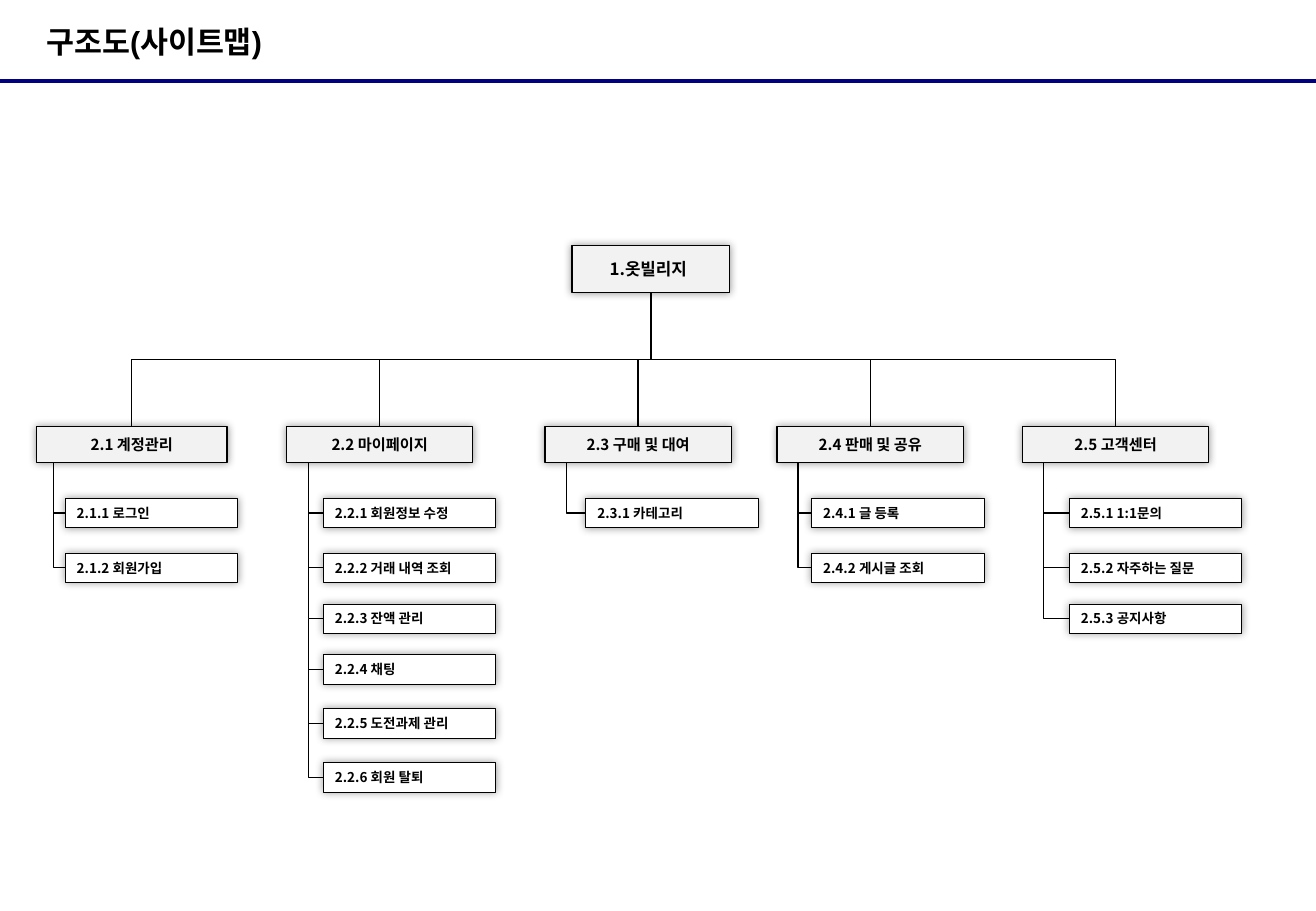
from dataclasses import dataclass

from lxml import etree
from pptx import Presentation
from pptx.dml.color import RGBColor
from pptx.enum.shapes import MSO_CONNECTOR, MSO_SHAPE
from pptx.enum.text import MSO_ANCHOR, PP_ALIGN
from pptx.oxml.ns import qn
from pptx.util import Pt

STRAIGHT, ELBOW = MSO_CONNECTOR.STRAIGHT, MSO_CONNECTOR.ELBOW
RECTANGLE = MSO_SHAPE.RECTANGLE
MIDDLE = MSO_ANCHOR.MIDDLE
LEFT, CENTER = PP_ALIGN.LEFT, PP_ALIGN.CENTER
BOTTOM_SIDE, TOP_SIDE = 2, 0


@dataclass(frozen=True)
class Theme:
    ink: RGBColor = RGBColor(0, 0, 0)
    navy: RGBColor = RGBColor(0, 0, 0x80)
    gray: RGBColor = RGBColor(0xF2, 0xF2, 0xF2)
    white: RGBColor = RGBColor(0xFF, 0xFF, 0xFF)
    title_font: str = "Arial"
    font: str = "Noto Sans CJK KR"
    title_size: float = 18
    root_size: float = 10
    branch_size: float = 9
    leaf_size: float = 8


theme = Theme()
deck = Presentation()
deck.slide_width, deck.slide_height = Pt(780), Pt(540)
page = deck.slides.add_slide(deck.slide_layouts[5])


def draw_box(text, left, top, width, height, fill, size, line_width, align):
    """Draw a labelled rectangle with a soft glow-like shadow."""
    box = page.shapes.add_shape(RECTANGLE, Pt(left), Pt(top), Pt(width), Pt(height))
    box.fill.solid()
    box.fill.fore_color.rgb = fill
    box.line.color.rgb = theme.ink
    box.line.width = Pt(line_width)
    box.shadow.inherit = False
    effects = box.element.spPr.find(qn("a:effectLst"))
    shadow = etree.SubElement(effects, qn("a:outerShdw"), blurRad=str(Pt(5)), dist="0")
    color = etree.SubElement(shadow, qn("a:srgbClr"), val=str(theme.ink))
    etree.SubElement(color, qn("a:alpha"), val="40000")
    frame = box.text_frame
    frame.word_wrap = True
    frame.vertical_anchor = MIDDLE
    para = frame.paragraphs[0]
    para.text = text
    para.alignment = align
    para.font.size = Pt(size)
    para.font.bold = True
    para.font.color.rgb = theme.ink
    para.font.name = theme.font
    properties = para._p.pPr.find(qn("a:defRPr"))
    etree.SubElement(properties, qn("a:ea"), typeface=theme.font)
    return box


def draw_elbow(start, end, preset, upper=None, lower=None):
    """Draw an elbow that leaves its start point downwards."""
    (x1, y1), (x2, y2) = start, end
    elbow = page.shapes.add_connector(ELBOW, Pt(x1), Pt(y1), Pt(x2), Pt(y2))
    if upper is not None:
        elbow.begin_connect(upper, BOTTOM_SIDE)
        elbow.end_connect(lower, TOP_SIDE)
    # The frame is turned a quarter, so its width is the drop
    drop, reach = y2 - y1, abs(x2 - x1)
    elbow.left, elbow.top = Pt((x1 + x2 - drop) / 2), Pt((y1 + y2 - reach) / 2)
    elbow.width, elbow.height = Pt(drop), Pt(reach)
    properties = elbow.element.spPr
    to_right = x2 > x1
    properties.xfrm.set("rot", "16200000" if to_right else "5400000")
    properties.xfrm.set("flipH", "1" if to_right else "0")
    properties.find(qn("a:prstGeom")).set("prst", preset)
    elbow.line.color.rgb = theme.ink
    elbow.line.width = Pt(0.75)
    etree.SubElement(properties, qn("a:effectLst"))


# Header: title and rule
rule = page.shapes.add_connector(STRAIGHT, 0, Pt(48), Pt(780), Pt(48))
rule.line.color.rgb = theme.navy
rule.line.width = Pt(2.25)
etree.SubElement(rule.element.spPr, qn("a:effectLst"))

title = page.shapes.title
title.left, title.top, title.width, title.height = Pt(27.4), Pt(0), Pt(510), Pt(49)
frame = title.text_frame
frame.margin_left = frame.margin_top = frame.margin_right = frame.margin_bottom = 0
frame.vertical_anchor = MIDDLE
para = frame.paragraphs[0]
para.text = "구조도(사이트맵)"
para.alignment = LEFT
para.font.size = Pt(theme.title_size)
para.font.bold = True
para.font.color.rgb = theme.ink
para.font.name = theme.title_font

# Root of the site map
ROOT_LEFT, ROOT_TOP, ROOT_WIDTH, ROOT_HEIGHT = 339, 145.4, 93.6, 28.2
root = draw_box("1.옷빌리지", ROOT_LEFT, ROOT_TOP, ROOT_WIDTH, ROOT_HEIGHT,
                theme.gray, theme.root_size, 0.75, CENTER)
root.text_frame.margin_left = Pt(4)
root_foot = (ROOT_LEFT + ROOT_WIDTH / 2, ROOT_TOP + ROOT_HEIGHT)

# Branches: label, left, width, spine x, leaf left, leaves
BRANCHES = [
    ("2.1 계정관리", 21.6, 113, 31.7, 38.4, ["2.1.1 로그인", "2.1.2 회원가입"]),
    ("2.2 마이페이지", 169.8, 110.4, 182.8, 191.4,
     ["2.2.1 회원정보 수정", "2.2.2 거래 내역 조회", "2.2.3 잔액 관리",
      "2.2.4 채팅", "2.2.5 도전과제 관리", "2.2.6 회원 탈퇴"]),
    ("2.3 구매 및 대여", 323, 110.4, 335.6, 347, ["2.3.1 카테고리"]),
    ("2.4 판매 및 공유", 460.6, 110.4, 473, 480.8, ["2.4.1 글 등록", "2.4.2 게시글 조회"]),
    ("2.5 고객센터", 606, 110.4, 618.4, 633.6,
     ["2.5.1 1:1문의", "2.5.2 자주하는 질문", "2.5.3 공지사항"]),
]
BRANCH_TOP, BRANCH_HEIGHT = 252.8, 21.4
LEAF_TOPS = [295.4, 327.8, 358, 388, 420, 452]
LEAF_WIDTH, LEAF_HEIGHT = 102.4, 17.4

for label, left, width, spine, leaf_left, leaves in BRANCHES:
    branch = draw_box(label, left, BRANCH_TOP, width, BRANCH_HEIGHT,
                      theme.gray, theme.branch_size, 0.75, CENTER)
    draw_elbow(root_foot, (left + width / 2, BRANCH_TOP), "bentConnector3", root, branch)

    # Leaves: the first three hang from the branch, later ones from the leaf above
    spine_top = BRANCH_TOP + BRANCH_HEIGHT
    for row, (leaf, top) in enumerate(zip(leaves, LEAF_TOPS)):
        draw_box(leaf, leaf_left, top, LEAF_WIDTH, LEAF_HEIGHT,
                 theme.white, theme.leaf_size, 0.25, LEFT)
        middle = top + LEAF_HEIGHT / 2
        draw_elbow((spine, spine_top), (leaf_left, middle), "bentConnector2")
        if row >= 2:
            spine_top = middle

deck.save("out.pptx")
